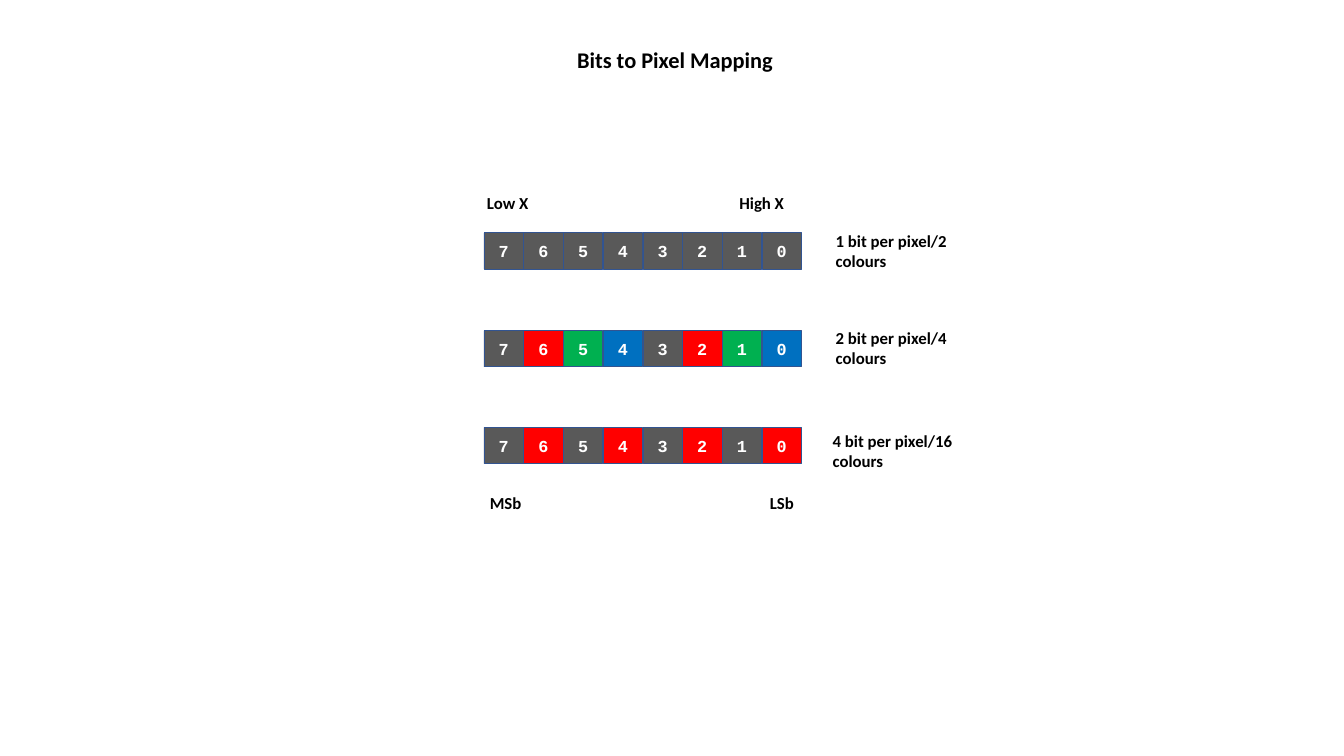
from pptx import Presentation
from pptx import util as u
from pptx.dml.color import RGBColor
from pptx.enum import shapes, text

PX = 9144  # 100 px to the inch
GREY, RED, GREEN, BLUE = "595959", "FF0000", "00B050", "0070C0"
CELL_LEFT, CELL_PITCH, CELL_W, CELL_H = 480, 39.4, 39, 36


def px(*lengths):
    return [u.Emu(round(n * PX)) for n in lengths]


def write(sp, words, size, font, colour, align):
    """Put one bold paragraph into a shape."""
    tf = sp.text_frame
    tf.word_wrap = True
    tf.text = words
    p = tf.paragraphs[0]
    p.alignment = align
    f = p.runs[0].font
    f.size, f.name, f.bold = u.Pt(size), font, True
    f.color.rgb = RGBColor.from_string(colour)


prs = Presentation()
prs.slide_width, prs.slide_height = px(1333, 750)
s = prs.slides.add_slide(prs.slide_layouts[5])
CENTER, LEFT = text.PP_ALIGN.CENTER, text.PP_ALIGN.LEFT

title = s.shapes.title
title.left, title.top, title.width, title.height = px(530, 41, 279, 37)
write(title, "Bits to Pixel Mapping", 16, "Calibri", "000000", CENTER)
title.text_frame.vertical_anchor = text.MSO_ANCHOR.TOP
title.text_frame.auto_size = text.MSO_AUTO_SIZE.NONE

# Each byte: top, colours repeated across its bits
bytes_shown = [
    (231, [GREY]),
    (328, [GREY, RED, GREEN, BLUE]),
    (424, [GREY, RED]),
]
for top, colours in bytes_shown:
    byte = s.shapes.add_group_shape()
    for i in range(8):
        sp = byte.shapes.add_shape(
            shapes.MSO_SHAPE.RECTANGLE,
            *px(CELL_LEFT + i * CELL_PITCH, top, CELL_W, CELL_H))
        sp.shadow.inherit = False
        sp.fill.solid()
        sp.fill.fore_color.rgb = RGBColor.from_string(colours[i % len(colours)])
        sp.line.color.rgb = RGBColor.from_string("325491")
        sp.line.width = u.Pt(0.5)
        write(sp, str(7 - i), 12, "Courier New", "FFFFFF", CENTER)
        sp.text_frame.vertical_anchor = text.MSO_ANCHOR.MIDDLE

labels = [
    ("Low X", 472, 186, 63, 30, CENTER),
    ("High X", 722, 186, 67, 30, CENTER),
    ("MSb", 470, 484, 63, 30, CENTER),
    ("LSb", 744, 484, 63, 30, CENTER),
    ("1 bit per pixel/2 colours", 819, 224, 142, 50, LEFT),
    ("2 bit per pixel/4 colours", 819, 320, 142, 50, LEFT),
    ("4 bit per pixel/16 colours", 816, 422, 142, 50, LEFT),
]
for words, left, top, width, height, align in labels:
    box = s.shapes.add_textbox(*px(left, top, width, height))
    write(box, words, 12, "Calibri", "000000", align)

prs.save("out.pptx")
